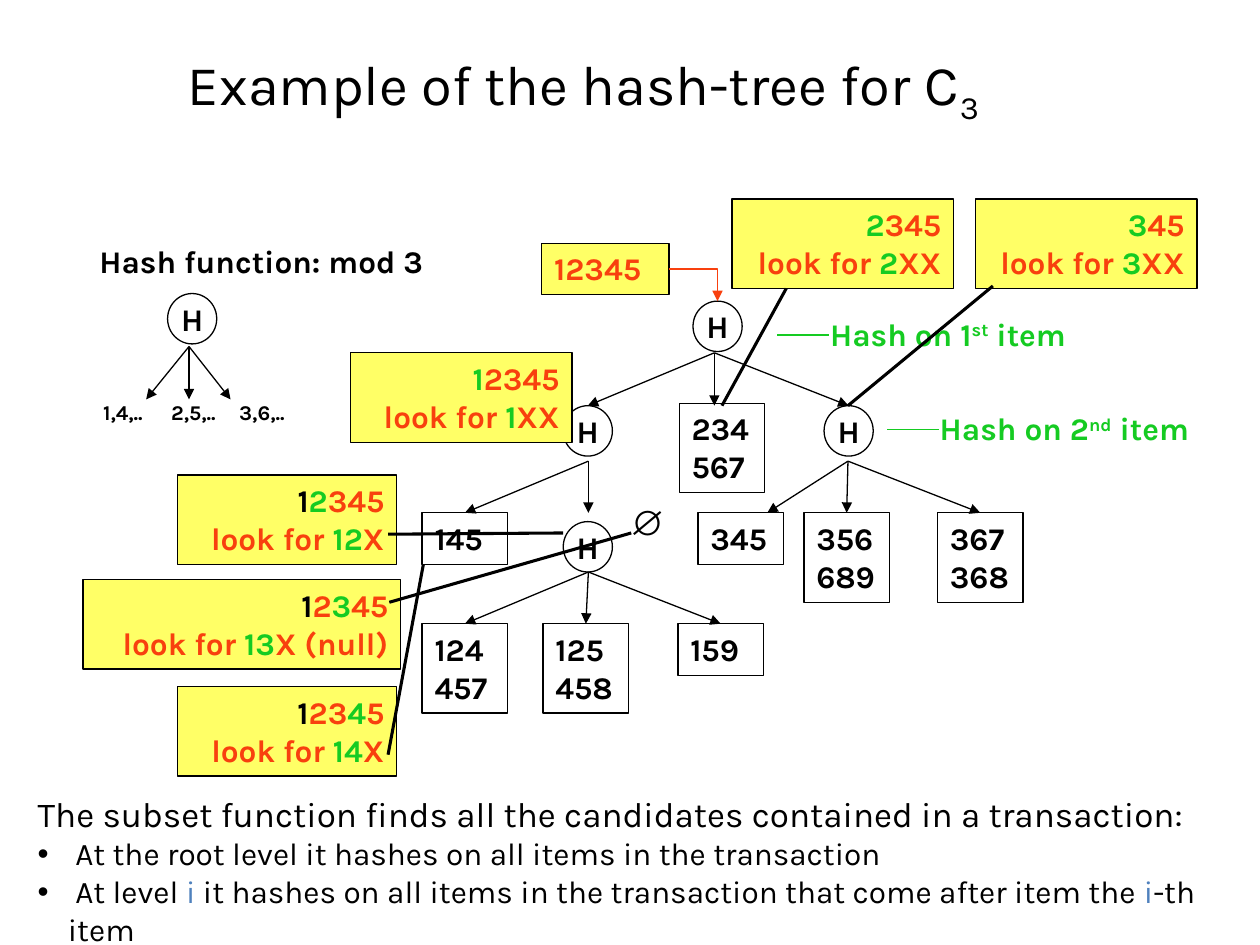
from lxml import etree
from pptx import Presentation
from pptx.dml.color import RGBColor
from pptx.enum.shapes import MSO_CONNECTOR, MSO_SHAPE
from pptx.enum.text import MSO_ANCHOR, MSO_AUTO_SIZE, PP_ALIGN
from pptx.oxml.ns import qn
from pptx.util import Inches, Pt

STRAIGHT, ELBOW = MSO_CONNECTOR.STRAIGHT, MSO_CONNECTOR.ELBOW
RECTANGLE, ELLIPSE = MSO_SHAPE.RECTANGLE, MSO_SHAPE.OVAL
TOP, MIDDLE = MSO_ANCHOR.TOP, MSO_ANCHOR.MIDDLE
LEFT, CENTER, RIGHT = PP_ALIGN.LEFT, PP_ALIGN.CENTER, PP_ALIGN.RIGHT
TOP_SITE, RIGHT_SITE = 0, 3
COLORS = {
    "black": "000000",
    "green": "15CB22",
    "red": "F8400E",
    "yellow": "FFFF66",
    "blue": "4F81BD",
}
FONT = "Karla"
ONE_LINE, TWO_LINES = 0.41, 0.71
LEAF_WIDTH = 0.68


def rgb(name):
    return RGBColor.from_string(COLORS[name])


def write_paragraph(paragraph, runs, size=18, bold=True, align=LEFT, font=FONT):
    base_color = runs[0][1]
    paragraph.alignment = align
    paragraph.font.name = font
    paragraph.font.size = Pt(size)
    paragraph.font.bold = bold
    paragraph.font.color.rgb = rgb(base_color)
    for text, color, *baseline in runs:
        run = paragraph.add_run()
        run.text = text
        if color != base_color:
            run.font.color.rgb = rgb(color)
        if baseline:
            run._r.get_or_add_rPr().set("baseline", str(baseline[0] * 1000))


def write_lines(frame, lines, **style):
    for index, runs in enumerate(lines):
        paragraph = frame.add_paragraph() if index else frame.paragraphs[0]
        write_paragraph(paragraph, runs, **style)


def set_margins(frame, horizontal, vertical):
    frame.margin_left = frame.margin_right = Inches(horizontal)
    frame.margin_top = frame.margin_bottom = Inches(vertical)


def add_label(slide, left, top, width, height, lines, **style):
    shape = slide.shapes.add_textbox(*map(Inches, (left, top, width, height)))
    shape.text_frame.word_wrap = True
    write_lines(shape.text_frame, lines, **style)
    return shape


def add_outlined(slide, kind, left, top, width, height, fill=None):
    shape = slide.shapes.add_shape(kind, *map(Inches, (left, top, width, height)))
    shape.shadow.inherit = False
    if fill:
        shape.fill.solid()
        shape.fill.fore_color.rgb = rgb(fill)
    else:
        shape.fill.background()
    shape.line.color.rgb = rgb("black")
    shape.line.width = Pt(0.75)
    return shape


def add_box(slide, left, top, width, lines, fill=None, **style):
    height = TWO_LINES if len(lines) == 2 else ONE_LINE
    shape = add_outlined(slide, RECTANGLE, left, top, width, height, fill)
    shape.text_frame.vertical_anchor = TOP
    write_lines(shape.text_frame, lines, **style)
    return shape


def add_leaf(slide, left, top, *itemsets):
    return add_box(slide, left, top, LEAF_WIDTH, [[(items, "black")] for items in itemsets])


def add_callout(slide, left, top, width, items, hashed, rest):
    query = [("look for ", "red"), (hashed, "green"), (rest, "red")]
    return add_box(slide, left, top, width, [items, query], "yellow", align=RIGHT)


def add_node(slide, left, top):
    shape = add_outlined(slide, ELLIPSE, left, top, 0.39, 0.4)
    set_margins(shape.text_frame, 0, 0)
    shape.text_frame.vertical_anchor = MIDDLE
    write_lines(shape.text_frame, [[("H", "black")]], align=CENTER)
    return shape


def add_line(slide, start, end, color="black", width=0.75, arrow=False, kind=STRAIGHT):
    connector = slide.shapes.add_connector(kind, *map(Inches, (*start, *end)))
    connector.line.color.rgb = rgb(color)
    connector.line.width = Pt(width)
    if arrow:
        etree.SubElement(connector.line._get_or_add_ln(), qn("a:tailEnd"), type="triangle")
    etree.SubElement(connector._element.spPr, qn("a:effectLst"))
    return connector


def add_branches(slide, x, top, targets, drop=0.41):
    for target in targets:
        joined = not isinstance(target, float)
        end_x = x if joined else target
        connector = add_line(slide, (x, top), (end_x, top + drop), arrow=True)
        if joined:
            connector.end_connect(target, TOP_SITE)


def add_title(slide):
    title = slide.shapes.title
    title.left, title.top, title.width, title.height = map(Inches, (0.67, 0.5, 7.92, 0.39))
    frame = title.text_frame
    frame.auto_size = MSO_AUTO_SIZE.NONE
    frame.vertical_anchor = MIDDLE
    set_margins(frame, 0, 0)
    runs = [("Example of the hash-tree for C", "black"), ("3", "black", -25)]
    write_lines(frame, [runs], size=32, bold=False, align=CENTER)


def add_hash_function(slide):
    add_label(slide, 0.69, 1.87, 2.91, ONE_LINE, [[("Hash function: mod 3", "black")]])
    add_node(slide, 1.33, 2.33)
    add_branches(slide, 1.5, 2.75, (1.16, 1.5, 1.83), drop=0.42)
    for index, text in enumerate(("1,4,..", "2,5,..", "3,6,..")):
        add_label(slide, 0.72 + 0.54 * index, 3.12, 0.62, 0.31, [[(text, "black")]], size=12)


def add_tree(slide):
    root = add_node(slide, 5.5, 2.39)
    left_node = add_node(slide, 4.47, 3.22)
    right_node = add_node(slide, 6.54, 3.22)
    add_node(slide, 4.47, 4.14)

    add_leaf(slide, 5.39, 3.2, "234", "567")
    leaf_145 = add_leaf(slide, 3.35, 4.07, "145")
    add_leaf(slide, 5.54, 4.07, "345")
    leaf_356 = add_leaf(slide, 6.38, 4.07, "356", "689")
    leaf_367 = add_leaf(slide, 7.44, 4.07, "367", "368")
    leaf_124 = add_leaf(slide, 3.35, 4.95, "124", "457")
    leaf_125 = add_leaf(slide, 4.31, 4.95, "125", "458")
    leaf_159 = add_leaf(slide, 5.38, 4.95, "159")

    add_branches(slide, 5.67, 2.8, (left_node, 5.67, right_node), drop=0.42)
    add_branches(slide, 4.67, 3.66, (leaf_145, 4.67))
    add_branches(slide, 6.73, 3.66, (6.09, leaf_356, leaf_367))
    add_branches(slide, 4.67, 4.54, (leaf_124, leaf_125, leaf_159))
    return root


def add_level_notes(slide):
    for line_x, y, left, width, number, suffix in (
        (6.17, 2.66, 6.49, 2.26, "1", "st"),
        (7.04, 3.41, 7.36, 2.32, "2", "nd"),
    ):
        add_line(slide, (line_x, y), (line_x + 0.41, y), "green")
        runs = [("Hash on " + number, "green"), (suffix, "green", 30), (" item", "green")]
        add_label(slide, left, y - 0.21, width, ONE_LINE, [runs])


def add_transaction(slide, root):
    box = add_box(slide, 4.3, 1.93, 1.01, [[("12345", "red")]], "yellow")
    connector = add_line(slide, (5.31, 2.14), (5.7, 2.39), "red", arrow=True, kind=ELBOW)
    connector._element.spPr.find(qn("a:prstGeom")).set("prst", "bentConnector2")
    connector.begin_connect(box, RIGHT_SITE)
    connector.end_connect(root, TOP_SITE)


def add_callouts(slide):
    prefix = ("1", "black")
    for left, top, width, items, hashed, rest in (
        (2.78, 2.8, 1.76, [("1", "green"), ("2345", "red")], "1", "XX"),
        (5.81, 1.58, 1.76, [("2", "green"), ("345", "red")], "2", "XX"),
        (7.74, 1.58, 1.76, [("3", "green"), ("45", "red")], "3", "XX"),
        (1.41, 3.77, 1.74, [prefix, ("2", "green"), ("345", "red")], "12", "X"),
        (0.66, 4.6, 2.52, [prefix, ("2", "red"), ("3", "green"), ("45", "red")], "13", "X (null)"),
        (1.41, 5.45, 1.74, [prefix, ("23", "red"), ("4", "green"), ("5", "red")], "14", "X"),
    ):
        add_callout(slide, left, top, width, items, hashed, rest)
    for start, end in (
        ((6.24, 2.29), (5.73, 3.22)),
        ((7.88, 2.27), (6.73, 3.22)),
        ((4.47, 4.23), (3.08, 4.24)),
        ((5.01, 4.23), (3.09, 4.78)),
        ((3.36, 4.48), (3.08, 5.99)),
    ):
        add_line(slide, start, end, width=1.75)
    add_label(slide, 4.9, 3.92, 0.43, 0.44, [[("∅", "black")]], size=20, font="Arial")


def add_summary(slide):
    intro = "The subset function finds all the candidates contained in a transaction:"
    shape = add_label(slide, 0.2, 6.24, 9.59, 1.08, [[(intro, "black")]], size=20, bold=False)
    for runs in (
        [(" At the root level it hashes on all items in the transaction", "black")],
        [
            (" At level ", "black"),
            ("i", "blue"),
            (" it hashes on all items in the transaction that come after item the ", "black"),
            ("i", "blue"),
            ("-th item", "black"),
        ],
    ):
        paragraph = shape.text_frame.add_paragraph()
        properties = paragraph._p.get_or_add_pPr()
        properties.set("marL", str(Inches(0.24)))
        properties.set("indent", str(-Inches(0.24)))
        etree.SubElement(properties, qn("a:buFont"), typeface="Arial")
        etree.SubElement(properties, qn("a:buChar"), char="•")
        write_paragraph(paragraph, runs, bold=False)


def main():
    presentation = Presentation()
    presentation.slide_width, presentation.slide_height = Inches(10), Inches(7.5)
    slide = presentation.slides.add_slide(presentation.slide_layouts[5])
    add_title(slide)
    add_hash_function(slide)
    root = add_tree(slide)
    add_level_notes(slide)
    add_transaction(slide, root)
    add_callouts(slide)
    add_summary(slide)
    presentation.save("out.pptx")


if __name__ == "__main__":
    main()
